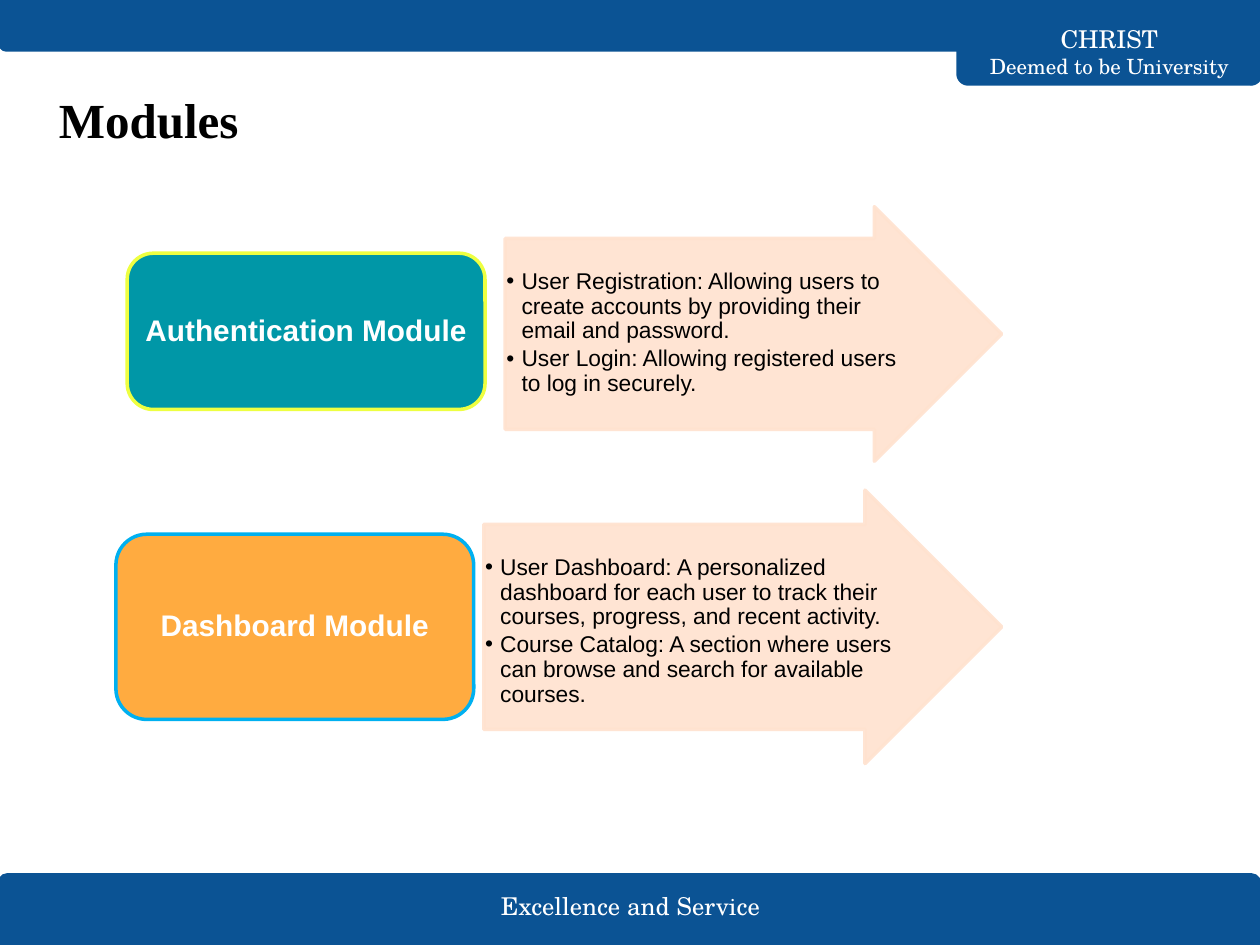
import pptx
import pptx.dml.color
import pptx.enum.shapes
import pptx.enum.text
import pptx.oxml
import pptx.oxml.ns
import pptx.util
from pptx.util import Inches

COLORS = {
    "navy": "0B5394", "white": "FFFFFF", "black": "000000", "peach": "FFE2CF",
    "teal": "0097A7", "yellow": "EEFF41", "orange": "FFAB40", "sky": "00B0F0",
}
SHAPES = pptx.enum.shapes.MSO_SHAPE
ALIGN = pptx.enum.text.PP_ALIGN
ANCHOR = pptx.enum.text.MSO_ANCHOR

MODULES = [
    {"name": "Authentication Module", "fill": "teal", "line": "yellow",
     "label": (1.01, 2.01, 2.84, 1.24), "arrow": (4.01, 1.64, 3.94, 2.02),
     "points": [
         "User Registration: Allowing users to create accounts by providing their email and password.",
         "User Login: Allowing registered users to log in securely."]},
    {"name": "Dashboard Module", "fill": "orange", "line": "sky",
     "label": (0.92, 4.24, 2.84, 1.47), "arrow": (3.84, 3.89, 4.11, 2.17),
     "points": [
         "User Dashboard: A personalized dashboard for each user to track their courses, progress, and recent activity.",
         "Course Catalog: A section where users can browse and search for available courses."]},
]


def rgb(name):
    """Return the named colour."""
    return pptx.dml.color.RGBColor.from_string(COLORS[name])


def add_block(page, kind, box, fill, line, width, adjustments=()):
    """Add a filled and outlined preset shape."""
    shape = page.shapes.add_shape(kind, *map(Inches, box))
    shape.shadow.inherit = False
    shape.fill.solid()
    shape.fill.fore_color.rgb = rgb(fill)
    shape.line.color.rgb = rgb(line)
    shape.line.width = pptx.util.Pt(width)
    for index, value in enumerate(adjustments):
        shape.adjustments[index] = value
    return shape


def set_frame(frame, anchor, left, top, right, bottom):
    """Set wrapping, anchor and margins of a text frame."""
    frame.word_wrap = True
    frame.vertical_anchor = anchor
    frame.margin_left, frame.margin_top = Inches(left), Inches(top)
    frame.margin_right, frame.margin_bottom = Inches(right), Inches(bottom)


def set_font(para, name, size, color, bold=False):
    """Set the font of a whole paragraph."""
    para.font.name = name
    para.font.size = pptx.util.Pt(size)
    para.font.color.rgb = rgb(color)
    para.font.bold = bold


def add_band(page, box, flipped):
    """Add a navy band with two rounded corners."""
    band = add_block(page, SHAPES.ROUND_2_SAME_RECTANGLE, box, "navy", "navy", 1.5, (0.125, 0))
    band.rotation = 180 if flipped else 0


def add_motto(page, box, lines):
    """Add centred white lines, each given as text and size."""
    frame = page.shapes.add_textbox(*map(Inches, box)).text_frame
    set_frame(frame, ANCHOR.MIDDLE, 0.1, 0.1, 0.1, 0.1)
    para = frame.paragraphs[0]
    para.alignment = ALIGN.CENTER
    set_font(para, "TeX Gyre Schola", lines[0][1], "white")
    for index, (text, size) in enumerate(lines):
        if index:
            para.add_line_break()
        span = para.add_run()
        span.text = text
        span.font.size = pptx.util.Pt(size)


def add_header(page, left, top, width):
    """Add the top band with the university tab."""
    tab_width = 2.41
    tab_left = left + width - tab_width
    add_band(page, (tab_left, top, tab_width, 0.67), True)
    add_band(page, (left, top, width, 0.4), True)
    add_motto(page, (tab_left, top + 0.28, tab_width, 0.25),
              [("CHRIST", 14), ("Deemed to be University", 12)])


def add_footer(page, left, top, width, height):
    """Add the bottom band with the motto."""
    add_band(page, (left, top, width, height), False)
    add_motto(page, (left + 3.67, top + 0.09, 2.69, 0.32), [("Excellence and Service", 14)])


def add_title(page, box, text):
    """Add the slide title."""
    frame = page.shapes.add_textbox(*map(Inches, box)).text_frame
    set_frame(frame, ANCHOR.TOP, 0.1, 0.05, 0.1, 0.05)
    para = frame.paragraphs[0]
    para.text = text
    set_font(para, "Times New Roman", 28, "black", True)


def add_bullet(para):
    """Give a paragraph a black bullet with a hanging indent."""
    settings = para._p.get_or_add_pPr()
    settings.set("marL", str(Inches(0.12)))
    settings.set("indent", str(-Inches(0.12)))
    namespace = pptx.oxml.ns.nsdecls("a")
    for part in (
        f'<a:buClr {namespace}><a:srgbClr val="{COLORS["black"]}"/></a:buClr>',
        f'<a:buFont {namespace} typeface="Arial"/>',
        f'<a:buChar {namespace} char="•"/>',
    ):
        settings.append(pptx.oxml.parse_xml(part))


def add_arrow(page, box, points):
    """Add a translucent arrow holding bullet points."""
    arrow = add_block(page, SHAPES.RIGHT_ARROW, box, "peach", "peach", 2, (0.75, 0.5))
    for color in arrow._element.spPr.iter(pptx.oxml.ns.qn("a:srgbClr")):
        color.append(pptx.oxml.parse_xml(
            f'<a:alpha {pptx.oxml.ns.nsdecls("a")} val="90000"/>'))
    frame = arrow.text_frame
    set_frame(frame, ANCHOR.TOP, 0.01, 0.25, 0.01, 0.01)
    for index, point in enumerate(points):
        para = frame.add_paragraph() if index else frame.paragraphs[0]
        para.text = point
        para.alignment = ALIGN.LEFT
        para.line_spacing = 0.9
        para.space_after = pptx.util.Pt(2)
        add_bullet(para)
        set_font(para, "Arial", 13, "black")


def add_module(page, module):
    """Add one module: its arrow of points and its label."""
    add_arrow(page, module["arrow"], module["points"])
    label = add_block(page, SHAPES.ROUNDED_RECTANGLE, module["label"],
                      module["fill"], module["line"], 2)
    set_frame(label.text_frame, ANCHOR.MIDDLE, 0.04, 0.05, 0.04, 0.04)
    para = label.text_frame.paragraphs[0]
    para.text = module["name"]
    para.alignment = ALIGN.CENTER
    para.line_spacing = 0.9
    set_font(para, "Arial", 17, "white", True)


def main():
    """Build the slide and save it."""
    deck = pptx.Presentation()
    deck.slide_width, deck.slide_height = Inches(10), Inches(7.5)
    page = deck.slides.add_slide(deck.slide_layouts[6])
    add_footer(page, -0.01, 6.94, 10.01, 0.56)
    add_header(page, 0, 0, 10.01)
    add_title(page, (0.37, 0.66, 4.36, 0.57), "Modules")
    for module in MODULES:
        add_module(page, module)
    deck.save("out.pptx")


if __name__ == "__main__":
    main()
